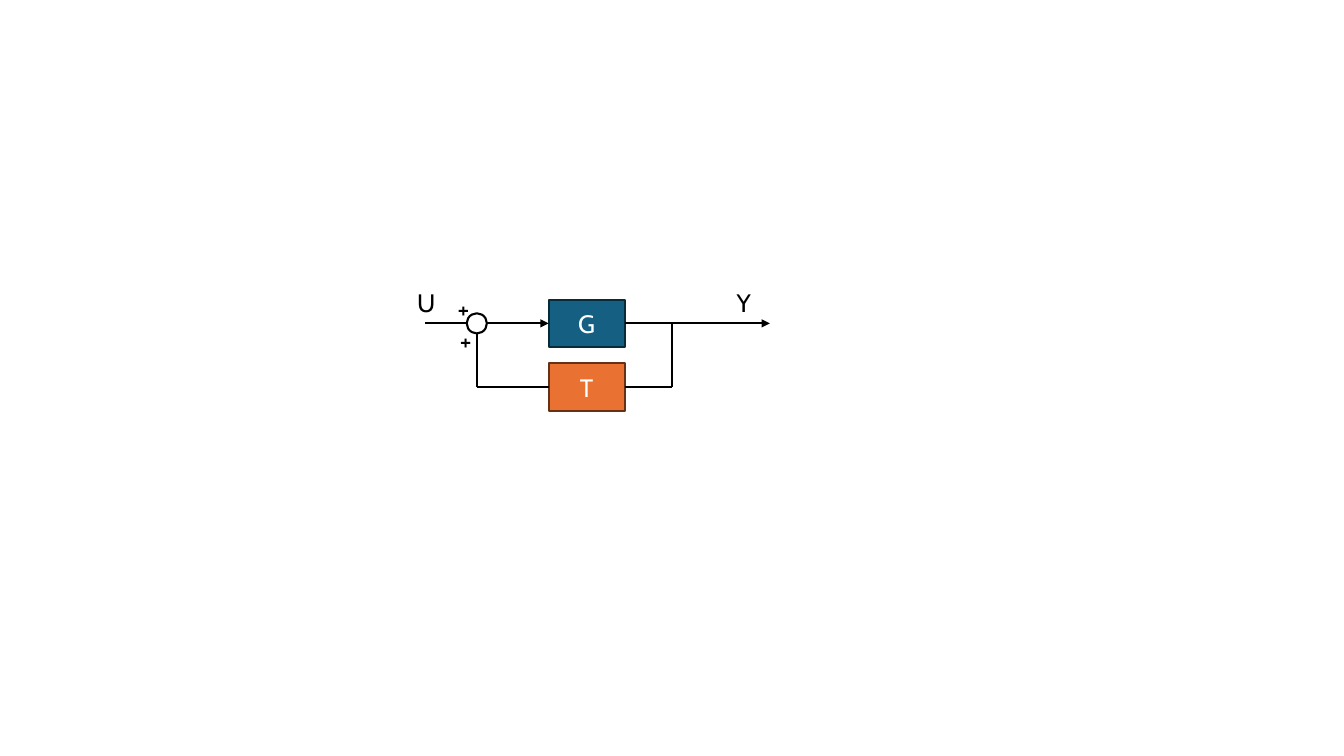
"""Build a slide with a feedback loop block diagram."""
import pptx
import pptx.dml.color
import pptx.enum.shapes
import pptx.enum.text
import pptx.oxml
import pptx.oxml.ns
import pptx.util

Pt = pptx.util.Pt
SHAPES = pptx.enum.shapes.MSO_SHAPE
FONT, TEXT_SIZE, LINE_WIDTH = "Cabin", 18, 1.5
COLORS = {
    "black": "000000", "white": "FFFFFF",
    "forward": "156082", "forward_edge": "092A39",
    "feedback": "E97132", "feedback_edge": "663216",
}

FORWARD_Y, FEEDBACK_Y = 231, 276.6
INPUT_X, SUM_X, BRANCH_X, OUTPUT_X = 303.8, 340.6, 480.2, 550
SUM_RADIUS = 7.2
BLOCK_LEFT, BLOCK_WIDTH, BLOCK_HEIGHT = 391.9, 54.3, 34
BLOCK_RIGHT = BLOCK_LEFT + BLOCK_WIDTH
LABEL_HEIGHT = 29.1

BLOCKS = [("G", FORWARD_Y, "forward"), ("T", FEEDBACK_Y, "feedback")]
LABELS = [
    ("+", 319.8, 205.8, 24.5),
    ("+", 321.4, 228.8, 24.5),
    ("U", 290.9, 201.6, 26.6),
    ("Y", 519.1, 201.6, 24.5),
]
SIGNALS = [
    (SUM_X + SUM_RADIUS, FORWARD_Y, BLOCK_LEFT, FORWARD_Y, True),
    (BLOCK_RIGHT, FORWARD_Y, OUTPUT_X, FORWARD_Y, True),
    (BLOCK_RIGHT, FEEDBACK_Y, BRANCH_X, FEEDBACK_Y, False),
    (BRANCH_X, FORWARD_Y, BRANCH_X, FEEDBACK_Y, False),
    (SUM_X, FEEDBACK_Y, BLOCK_LEFT, FEEDBACK_Y, False),
    (SUM_X - SUM_RADIUS, FORWARD_Y, INPUT_X, FORWARD_Y, False),
]
RETURN_SIGNAL = (SUM_X, FORWARD_Y, SUM_X, FEEDBACK_Y, False)


def rgb(name):
    return pptx.dml.color.RGBColor.from_string(COLORS[name])


def add_signal(slide, start_x, start_y, end_x, end_y, arrow):
    connector = slide.shapes.add_connector(
        pptx.enum.shapes.MSO_CONNECTOR.STRAIGHT,
        Pt(start_x), Pt(start_y), Pt(end_x), Pt(end_y))
    connector.line.color.rgb = rgb("black")
    connector.line.width = Pt(LINE_WIDTH)
    if arrow:
        line = connector.line._get_or_add_ln()
        line.append(pptx.oxml.parse_xml(
            f'<a:tailEnd {pptx.oxml.ns.nsdecls("a")} type="triangle"/>'))
    connector._element.spPr.append(pptx.oxml.parse_xml(
        f'<a:effectLst {pptx.oxml.ns.nsdecls("a")}/>'))


def add_centred_shape(slide, kind, center_x, center_y, width, height, fill, edge):
    shape = slide.shapes.add_shape(
        kind, Pt(center_x - width / 2), Pt(center_y - height / 2), Pt(width), Pt(height))
    shape.shadow.inherit = False
    shape.fill.solid()
    shape.fill.fore_color.rgb = rgb(fill)
    shape.line.color.rgb = rgb(edge)
    shape.line.width = Pt(LINE_WIDTH)
    return shape


def set_text(shape, text, color):
    shape.text_frame.text = text
    font = shape.text_frame.paragraphs[0].runs[0].font
    font.name = FONT
    font.size = Pt(TEXT_SIZE)
    font.color.rgb = rgb(color)


def add_block(slide, text, center_y, color):
    block = add_centred_shape(
        slide, SHAPES.RECTANGLE, BLOCK_LEFT + BLOCK_WIDTH / 2, center_y,
        BLOCK_WIDTH, BLOCK_HEIGHT, color, f"{color}_edge")
    set_text(block, text, "white")
    block.text_frame.vertical_anchor = pptx.enum.text.MSO_ANCHOR.MIDDLE
    block.text_frame.paragraphs[0].alignment = pptx.enum.text.PP_ALIGN.CENTER


def add_label(slide, text, left, top, width):
    label = slide.shapes.add_textbox(Pt(left), Pt(top), Pt(width), Pt(LABEL_HEIGHT))
    set_text(label, text, "black")
    label.text_frame.word_wrap = False
    label.text_frame.auto_size = pptx.enum.text.MSO_AUTO_SIZE.SHAPE_TO_FIT_TEXT


def main():
    presentation = pptx.Presentation()
    presentation.slide_width, presentation.slide_height = Pt(960), Pt(540)
    slide = presentation.slides.add_slide(presentation.slide_layouts[6])
    add_signal(slide, *RETURN_SIGNAL)
    for block in BLOCKS:
        add_block(slide, *block)
    add_centred_shape(slide, SHAPES.OVAL, SUM_X, FORWARD_Y,
                      2 * SUM_RADIUS, 2 * SUM_RADIUS, "white", "black")
    for signal in SIGNALS:
        add_signal(slide, *signal)
    for label in LABELS:
        add_label(slide, *label)
    presentation.save("out.pptx")


if __name__ == "__main__":
    main()
